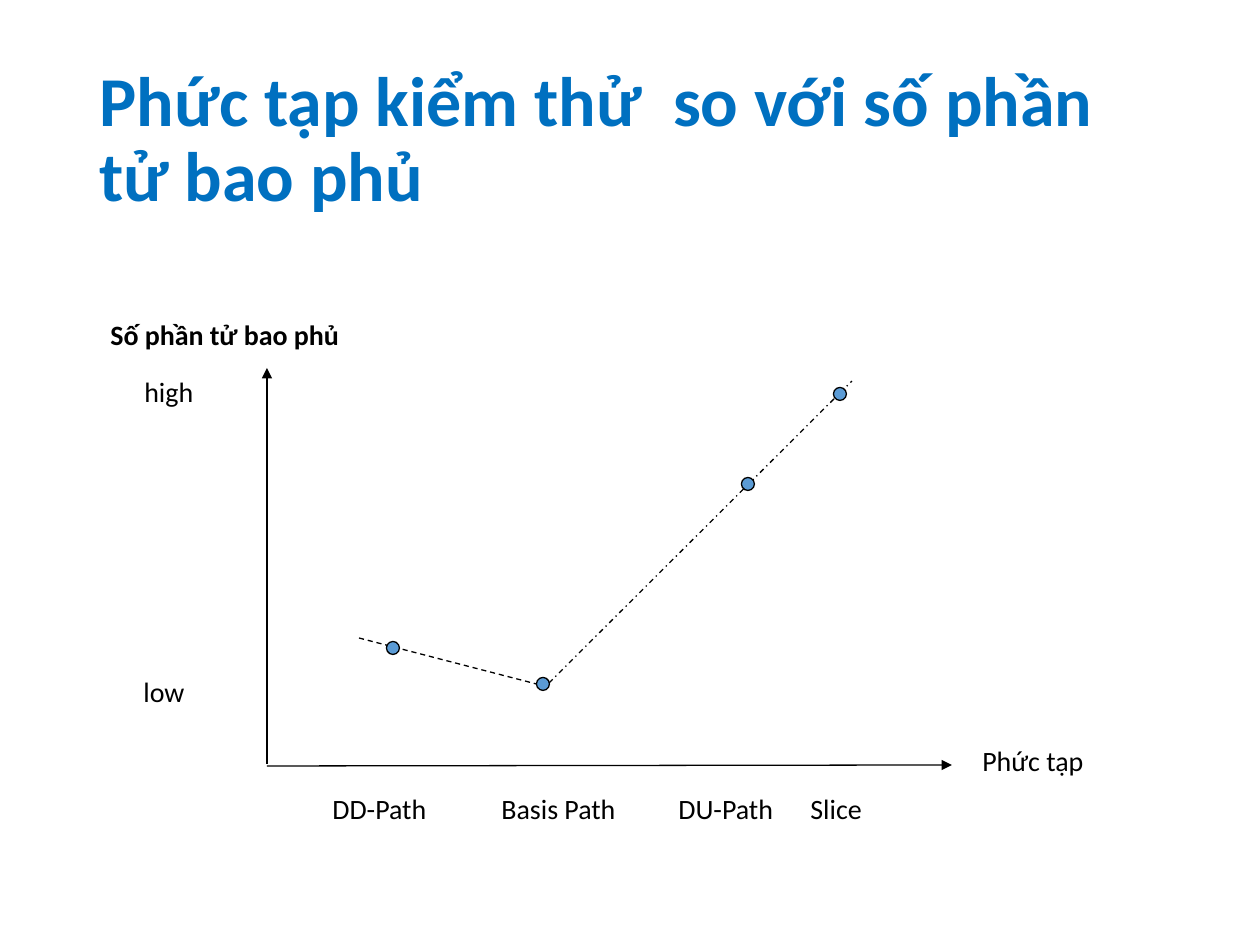
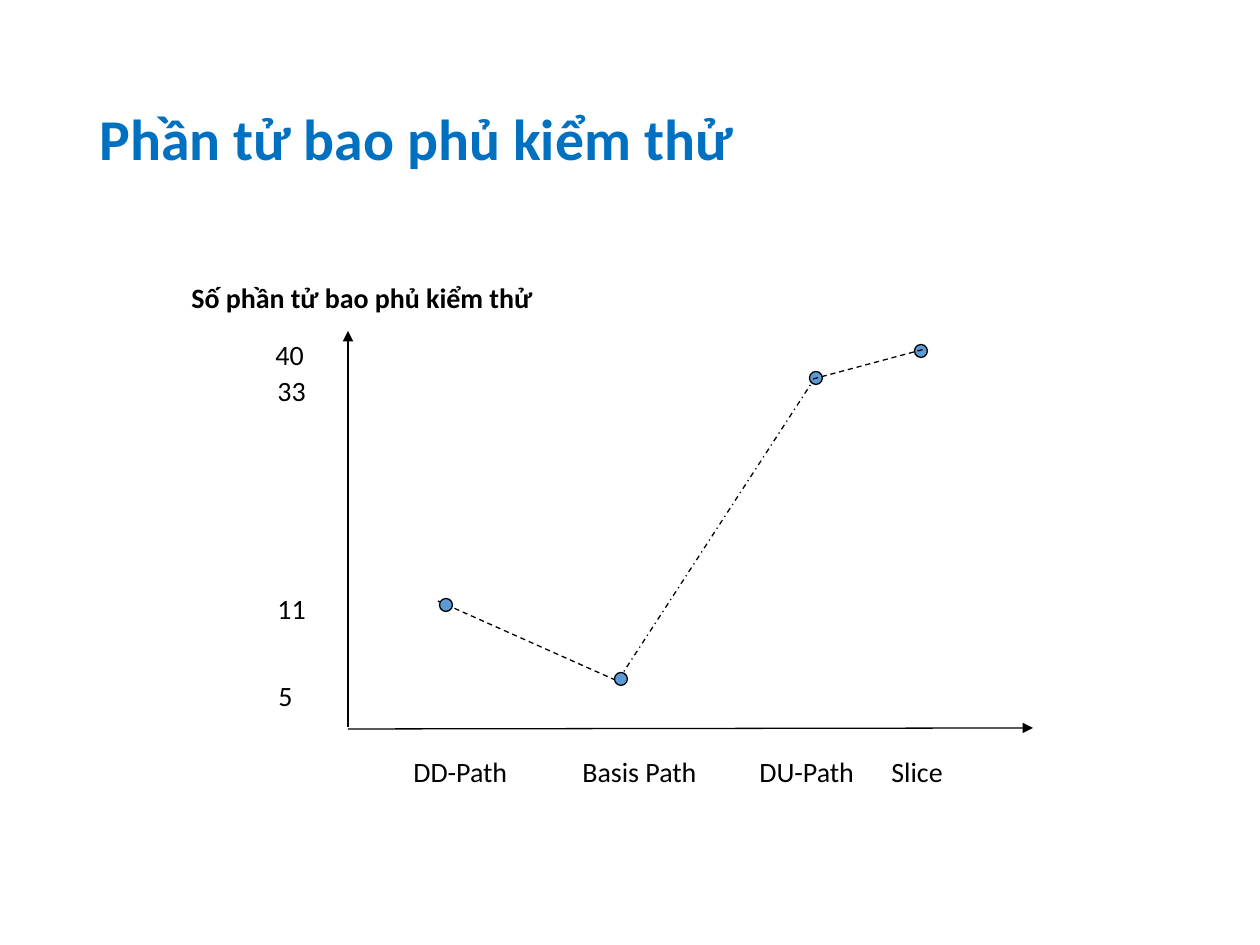
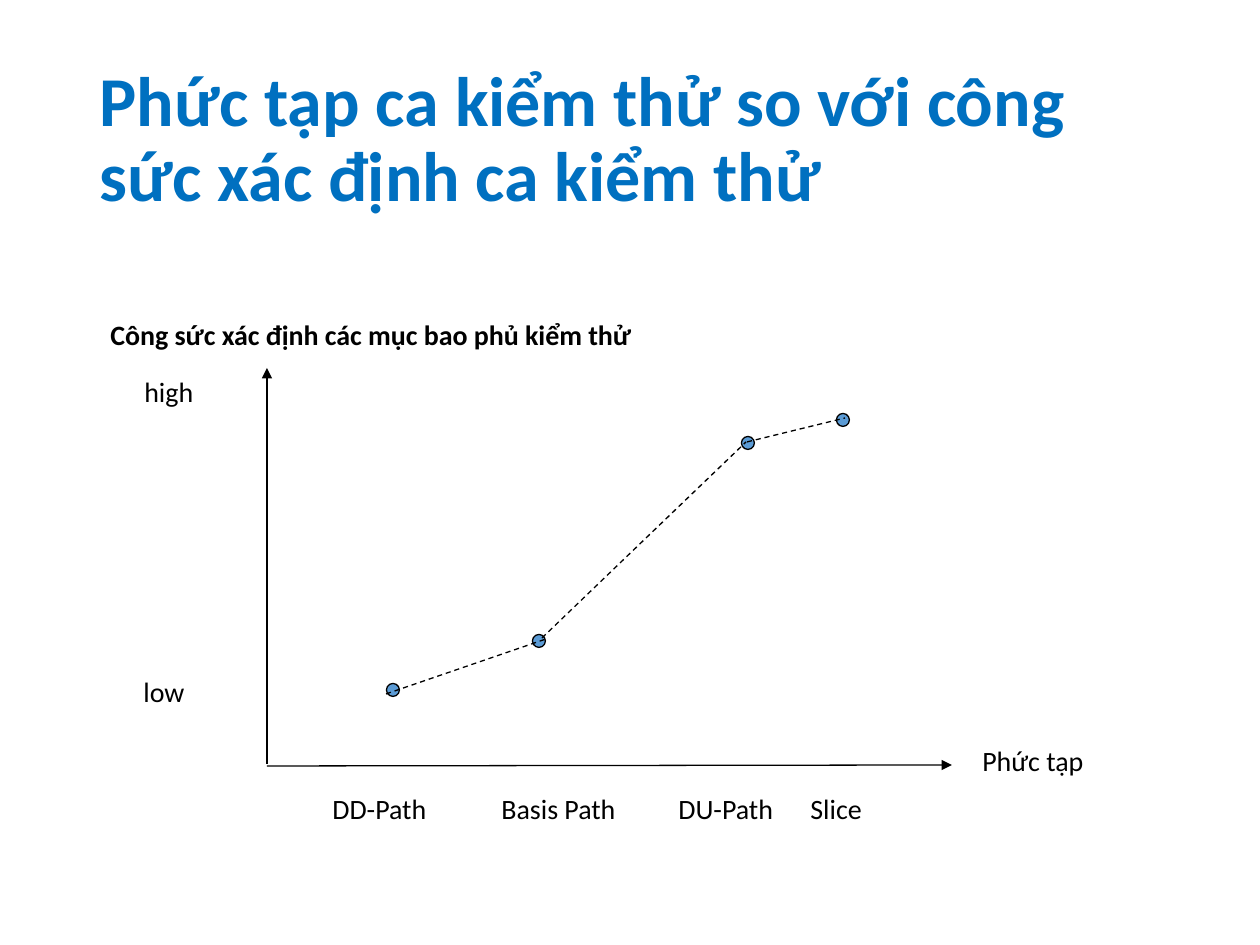
from dataclasses import dataclass

from lxml import etree
from pptx import Presentation
from pptx.dml.color import RGBColor
from pptx.enum.dml import MSO_LINE
from pptx.enum.shapes import MSO_CONNECTOR, MSO_SHAPE
from pptx.enum.text import MSO_ANCHOR
from pptx.oxml.ns import qn
from pptx.util import Pt

DASH, DASH_DOT = MSO_LINE.DASH, MSO_LINE.DASH_DOT
STRAIGHT, OVAL = MSO_CONNECTOR.STRAIGHT, MSO_SHAPE.OVAL
MIDDLE = MSO_ANCHOR.MIDDLE
PIXEL = 914400 // 126


@dataclass(frozen=True)
class Theme:
    font: str = "Calibri"
    title_color: RGBColor = RGBColor(0x00, 0x70, 0xC0)
    ink: RGBColor = RGBColor(0x00, 0x00, 0x00)
    dot_fill: RGBColor = RGBColor(0x5B, 0x9B, 0xD5)
    label_size: int = 16
    line_width: float = 0.75


THEME = Theme()
SLIDE_SIZE = (1260, 945)
TITLE_BOX = (87, 50, 1086, 183)
LABEL_HEIGHT = 47
DOT_SIZE = 13
Y_AXIS_LENGTH, X_AXIS_LENGTH = 398, 685
CATEGORIES = ["DD-Path", "Basis Path", "DU-Path", "Slice"]
CATEGORY_TABS = [13, 182, 359, 491]
CATEGORY_OFFSET = (40, 19)
CATEGORY_WIDTH = 576
AXIS_TITLE_OFFSET = (-169, -455)
HIGH_LOW_LABELS = [
    ("high", 132, 368, 76), ("low", 131, 668, 67), ("Phức tạp", 970, 737, 127),
]

SLIDES = [
    {
        "title": "Phức tạp kiểm thử  so với số phần tử bao phủ",
        "title_size": 40,
        "origin": (267, 766),
        "axis_title": ("Số phần tử bao phủ", 265),
        "labels": HIGH_LOW_LABELS,
        "lines_below": [((359, 638), (548, 687), DASH), ((549, 683), (852, 381), DASH_DOT)],
        "dots": [(393, 648), (543, 684), (748, 484), (840, 394)],
        "lines_above": [],
    },
    {
        "title": "Phần tử bao phủ kiểm thử",
        "title_size": 33,
        "origin": (348, 729),
        "axis_title": ("Số phần tử bao phủ kiểm thử", 372),
        "labels": [("40", 263, 331, 54), ("33", 265, 367, 54), ("11", 265, 585, 54), ("5", 266, 672, 40)],
        "lines_below": [((438, 601), (622, 683), DASH), ((619, 679), (813, 381), DASH_DOT)],
        "dots": [(446, 605), (621, 679), (816, 378), (921, 351)],
        "lines_above": [((813, 379), (925, 349), DASH)],
    },
    {
        "title": "Phức tạp ca kiểm thử so với công sức xác định ca kiểm thử",
        "title_size": 40,
        "origin": (267, 766),
        "axis_title": ("Công sức xác định các mục bao phủ kiểm thử", 554),
        "labels": HIGH_LOW_LABELS,
        "lines_below": [],
        "dots": [(393, 690), (539, 641), (748, 443), (843, 420)],
        "lines_above": [
            ((386, 694), (546, 639), DASH),
            ((542, 638), (746, 442), DASH),
            ((747, 442), (845, 418), DASH),
        ],
    },
]


def emu(*pixels):
    return [round(value * PIXEL) for value in pixels]


def add_text(slide, text, box, size=THEME.label_size, color=THEME.ink, bold=False, wrap=False):
    frame = slide.shapes.add_textbox(*emu(*box)).text_frame
    frame.word_wrap = wrap
    paragraph = frame.paragraphs[0]
    paragraph.text = text
    paragraph.font.name = THEME.font
    paragraph.font.size = Pt(size)
    paragraph.font.bold = bold
    paragraph.font.color.rgb = color
    return frame


def add_title(slide, text, size):
    frame = add_text(slide, text, TITLE_BOX, size, THEME.title_color, bold=True, wrap=True)
    frame.vertical_anchor = MIDDLE
    frame.paragraphs[0].line_spacing = 0.9


def add_categories(slide, origin):
    left, top = origin[0] + CATEGORY_OFFSET[0], origin[1] + CATEGORY_OFFSET[1]
    text = "".join("\t" + category for category in CATEGORIES)
    frame = add_text(slide, text, (left, top, CATEGORY_WIDTH, LABEL_HEIGHT), wrap=True)
    properties = frame.paragraphs[0].font._element.getparent()
    tab_list = etree.Element(qn("a:tabLst"))
    properties.insert(0, tab_list)
    for position in emu(*CATEGORY_TABS):
        etree.SubElement(tab_list, qn("a:tab"), pos=str(position), algn="l")


def add_line(slide, start, end, dash=None, arrow=False):
    connector = slide.shapes.add_connector(STRAIGHT, *emu(*start, *end))
    connector.line.color.rgb = THEME.ink
    connector.line.width = Pt(THEME.line_width)
    if dash:
        connector.line.dash_style = dash
    properties = connector.element.spPr
    if arrow:
        etree.SubElement(properties.find(qn("a:ln")), qn("a:tailEnd"), type="triangle")
    etree.SubElement(properties, qn("a:effectLst"))


def add_dot(slide, center):
    left, top = (value - DOT_SIZE / 2 for value in center)
    dot = slide.shapes.add_shape(OVAL, *emu(left, top, DOT_SIZE, DOT_SIZE))
    dot.shadow.inherit = False
    dot.fill.solid()
    dot.fill.fore_color.rgb = THEME.dot_fill
    dot.line.color.rgb = THEME.ink
    dot.line.width = Pt(THEME.line_width)


def add_axes(slide, origin):
    x, y = origin
    add_line(slide, (x, y - 2), (x, y - Y_AXIS_LENGTH), arrow=True)
    add_line(slide, origin, (x + X_AXIS_LENGTH, y - 1), arrow=True)


def build_slide(presentation, content):
    slide = presentation.slides.add_slide(presentation.slide_layouts[6])
    origin = content["origin"]
    add_title(slide, content["title"], content["title_size"])
    add_axes(slide, origin)
    add_categories(slide, origin)
    for text, left, top, width in content["labels"]:
        add_text(slide, text, (left, top, width, LABEL_HEIGHT))
    for line in content["lines_below"]:
        add_line(slide, *line)
    for center in content["dots"]:
        add_dot(slide, center)
    for line in content["lines_above"]:
        add_line(slide, *line)
    text, width = content["axis_title"]
    left, top = origin[0] + AXIS_TITLE_OFFSET[0], origin[1] + AXIS_TITLE_OFFSET[1]
    add_text(slide, text, (left, top, width, LABEL_HEIGHT), bold=True)


presentation = Presentation()
presentation.slide_width, presentation.slide_height = emu(*SLIDE_SIZE)
for content in SLIDES:
    build_slide(presentation, content)
presentation.save("out.pptx")
